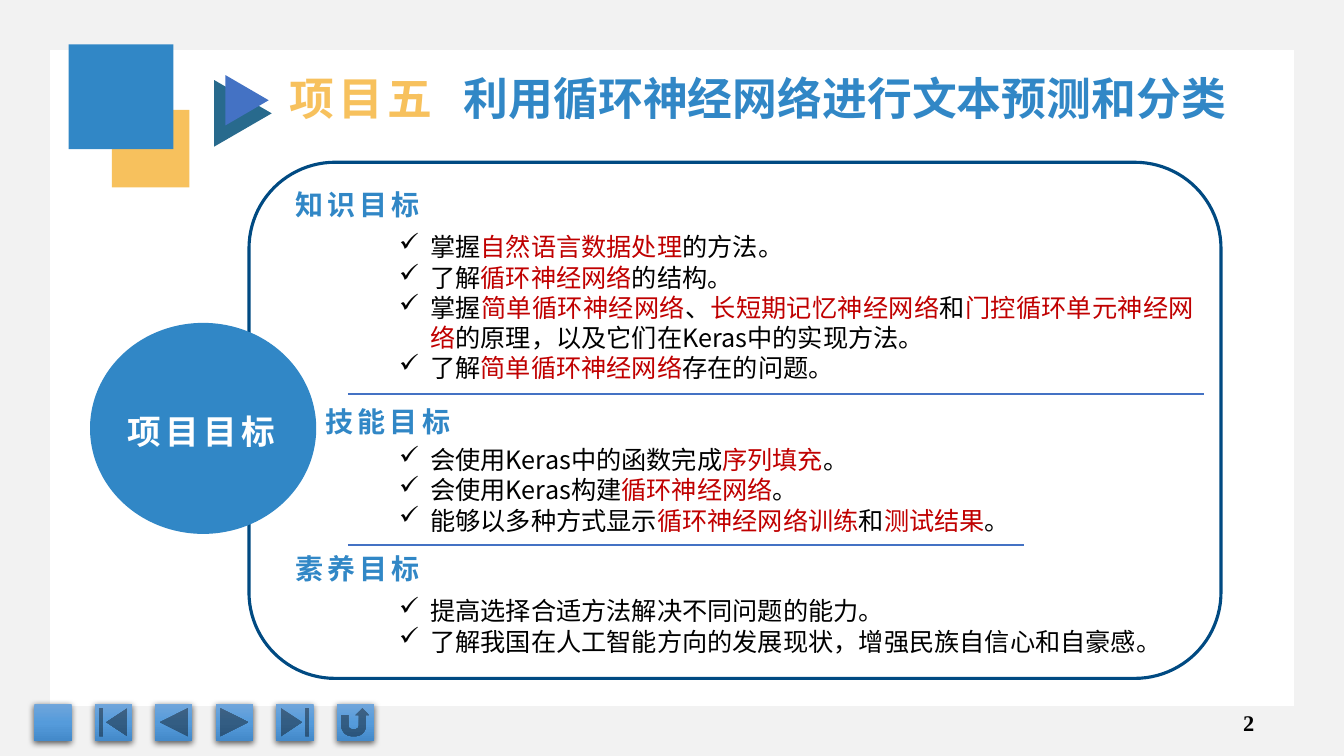
from dataclasses import dataclass

from lxml import etree
from pptx import Presentation
from pptx.dml.color import RGBColor
from pptx.enum.shapes import MSO_CONNECTOR, MSO_SHAPE
from pptx.enum.text import MSO_ANCHOR, MSO_AUTO_SIZE, PP_ALIGN
from pptx.oxml import parse_xml
from pptx.oxml.ns import nsdecls, qn
from pptx.util import Inches, Pt

TOP, MIDDLE, BOTTOM = MSO_ANCHOR.TOP, MSO_ANCHOR.MIDDLE, MSO_ANCHOR.BOTTOM
LEFT, RIGHT, JUSTIFY = PP_ALIGN.LEFT, PP_ALIGN.RIGHT, PP_ALIGN.JUSTIFY

# Content: in each goal, every second part between bars is highlighted
CHAPTER, TOPIC = "项目五", "利用循环神经网络进行文本预测和分类"
HUB = "项目目标"
PAGE_NUMBER = "2"
SECTIONS = [
    ("知识目标", (2.83, 1.78, 1.77, 0.46), (3.86, 2.25, 8.08, 1.62), [
        "掌握|自然语言数据处理|的方法。",
        "了解|循环神经网络|的结构。",
        "掌握|简单循环神经网络|、|长短期记忆神经网络|和|门控循环单元神经网络"
        "|的原理，以及它们在Keras中的实现方法。",
        "了解|简单循环神经网络|存在的问题。",
    ]),
    ("技能目标", (3.13, 3.96, 5, 0.44), (3.86, 4.36, 7, 1.01), [
        "会使用Keras中的函数完成|序列填充|。",
        "会使用Keras构建|循环神经网络|。",
        "能够以多种方式显示|循环神经网络训练|和|测试结果|。",
    ]),
    ("素养目标", (2.83, 5.41, 1.52, 0.44), (3.86, 5.86, 7.76, 0.71), [
        "提高选择合适方法解决不同问题的能力。",
        "了解我国在人工智能方向的发展现状，增强民族自信心和自豪感。",
    ]),
]
DIVIDERS = [(3.91, 11.94), (5.41, 10.16)]
DIVIDER_LEFT = 3.45
BUTTONS = [
    MSO_SHAPE.ACTION_BUTTON_CUSTOM,
    MSO_SHAPE.ACTION_BUTTON_BEGINNING,
    MSO_SHAPE.ACTION_BUTTON_BACK_OR_PREVIOUS,
    MSO_SHAPE.ACTION_BUTTON_FORWARD_OR_NEXT,
    MSO_SHAPE.ACTION_BUTTON_END,
    MSO_SHAPE.ACTION_BUTTON_RETURN,
]
BUTTON_LEFT, BUTTON_TOP, BUTTON_SIZE, BUTTON_STEP = 0.34, 6.98, 0.37, 0.6


@dataclass(frozen=True)
class Theme:
    blue: str = "3187C6"
    gold: str = "F7C15D"
    red: str = "C00000"
    black: str = "000000"
    white: str = "FFFFFF"
    border: str = "F2F2F2"
    navy: str = "004A82"
    teal: str = "286A8D"
    accent: str = "4472C4"
    button: tuple = ((0, "71A6DB"), (50, "559BDB"), (100, "448ACA"))
    heading_font: str = "Roboto Condensed"
    body_font: str = "Noto Sans CJK SC"
    number_font: str = "Times New Roman"
    title_size: int = 32
    hub_size: int = 24
    heading_size: int = 20
    body_size: int = 18
    number_size: int = 16
    body_leading: float = 21.6


THEME = Theme()


def color(code):
    return RGBColor.from_string(code)


def add_shape(page, kind, area, fill=None, line=None, width=1):
    shape = page.shapes.add_shape(kind, *map(Inches, area))
    shape.shadow.inherit = False
    if fill:
        shape.fill.solid()
        shape.fill.fore_color.rgb = color(fill)
    else:
        shape.fill.background()
    if line:
        shape.line.color.rgb = color(line)
        shape.line.width = Pt(width)
    else:
        shape.line.fill.background()
    return shape


def add_button(page, kind, area):
    """Action button with a vertical gradient and a soft shadow below."""
    shape = page.shapes.add_shape(kind, *map(Inches, area))
    shape.line.fill.background()
    stops = "".join(
        f'<a:gs pos="{share * 1000}"><a:srgbClr val="{code}"/></a:gs>'
        for share, code in THEME.button)
    outline = shape.line._get_or_add_ln()
    outline.addprevious(parse_xml(
        f'<a:gradFill {nsdecls("a")} rotWithShape="1"><a:gsLst>{stops}</a:gsLst>'
        '<a:lin ang="5400000" scaled="0"/></a:gradFill>'))
    outline.addnext(parse_xml(
        f'<a:effectLst {nsdecls("a")}><a:outerShdw blurRad="{Pt(4.5)}" '
        f'dist="{Pt(1.5)}" dir="5400000" algn="ctr" rotWithShape="0">'
        f'<a:srgbClr val="{THEME.black}"><a:alpha val="63000"/></a:srgbClr>'
        '</a:outerShdw></a:effectLst>'))


def add_span(para, text, font, size, code, bold=False, spacing=0):
    span = para.add_run()
    span.text = text
    span.font.name = font
    span.font.size = Pt(size)
    span.font.bold = bold
    span.font.color.rgb = color(code)
    properties = span.font._element
    properties.set("spc", str(spacing * 100))
    east_asian = etree.Element(qn("a:ea"), typeface=font)
    properties.find(qn("a:latin")).addnext(east_asian)


def prepare_frame(box, anchor):
    frame = box.text_frame
    frame.word_wrap = True
    frame.auto_size = MSO_AUTO_SIZE.NONE
    frame.vertical_anchor = anchor
    return frame


def add_text(page, area, anchor, align=LEFT):
    """Add a text box and return its first paragraph."""
    frame = prepare_frame(page.shapes.add_textbox(*map(Inches, area)), anchor)
    frame.paragraphs[0].alignment = align
    return frame.paragraphs[0]


def add_goals(page, area, goals):
    frame = prepare_frame(page.shapes.add_textbox(*map(Inches, area)), TOP)
    for index, goal in enumerate(goals):
        para = frame.add_paragraph() if index else frame.paragraphs[0]
        para.alignment = JUSTIFY
        para.line_spacing = Pt(THEME.body_leading)
        properties = para._p.get_or_add_pPr()
        properties.set("marL", str(Inches(0.31)))
        properties.set("indent", str(Inches(-0.31)))
        etree.SubElement(properties, qn("a:buChar"), char="✓")
        for order, part in enumerate(goal.split("|")):
            code = THEME.red if order % 2 else THEME.black
            add_span(para, part, THEME.body_font, THEME.body_size, code)


def add_divider(page, y, right):
    line = page.shapes.add_connector(
        MSO_CONNECTOR.STRAIGHT, *map(Inches, (DIVIDER_LEFT, y, right, y)))
    line.line.color.rgb = color(THEME.accent)
    line.line.width = Pt(1.5)
    etree.SubElement(line._element.spPr, qn("a:effectLst"))


def format_title(page):
    title = page.shapes.title
    title.left, title.top, title.width, title.height = map(
        Inches, (2.77, 0.65, 9.6, 0.64))
    para = prepare_frame(title, MIDDLE).paragraphs[0]
    para.alignment = LEFT
    tabs = etree.SubElement(para._p.get_or_add_pPr(), qn("a:tabLst"))
    etree.SubElement(tabs, qn("a:tab"), pos=str(Inches(1.73)), algn="l")
    add_span(para, CHAPTER + "\t", THEME.heading_font, THEME.title_size,
             THEME.gold, True, 3)
    add_span(para, TOPIC, THEME.body_font, THEME.title_size, THEME.blue, True)


def main():
    deck = Presentation()
    deck.slide_width, deck.slide_height = Inches(13.33), Inches(7.5)
    page = deck.slides.add_slide(deck.slide_layouts[5])
    format_title(page)

    border = add_shape(page, MSO_SHAPE.FRAME, (0, 0, 13.33, 7.5), THEME.border)
    border.adjustments[0] = 0.066
    for column, kind in enumerate(BUTTONS):
        left = BUTTON_LEFT + column * BUTTON_STEP
        add_button(page, kind, (left, BUTTON_TOP, BUTTON_SIZE, BUTTON_SIZE))
    number = add_text(page, (9.54, 6.97, 3, 0.4), MIDDLE, RIGHT)
    add_span(number, PAGE_NUMBER, THEME.number_font, THEME.number_size,
             THEME.black, True)

    add_shape(page, MSO_SHAPE.ROUNDED_RECTANGLE, (2.47, 1.61, 9.64, 5.12),
              line=THEME.navy, width=2.25)
    add_shape(page, MSO_SHAPE.OVAL, (0.9, 3.21, 2.23, 2.08), THEME.blue, THEME.blue)
    hub = add_text(page, (1.17, 4.03, 1.72, 0.5), MIDDLE)
    add_span(hub, HUB, THEME.heading_font, THEME.hub_size, THEME.white, True, 3)

    for area, fill in [((2.08, 0.84, 0.66, 0.57), THEME.teal),
                       ((2.2, 0.78, 0.5, 0.43), THEME.accent)]:
        add_shape(page, MSO_SHAPE.ISOSCELES_TRIANGLE, area, fill).rotation = 90
    add_shape(page, MSO_SHAPE.RECTANGLE, (1.11, 1.09, 0.77, 0.77), THEME.gold)
    add_shape(page, MSO_SHAPE.RECTANGLE, (0.68, 0.44, 1.04, 1.04), THEME.blue)

    for heading, heading_area, goals_area, goals in SECTIONS:
        para = add_text(page, heading_area, BOTTOM)
        add_span(para, heading, THEME.heading_font, THEME.heading_size,
                 THEME.blue, True, 3)
        add_goals(page, goals_area, goals)
    for y, right in DIVIDERS:
        add_divider(page, y, right)
    deck.save("out.pptx")


if __name__ == "__main__":
    main()
